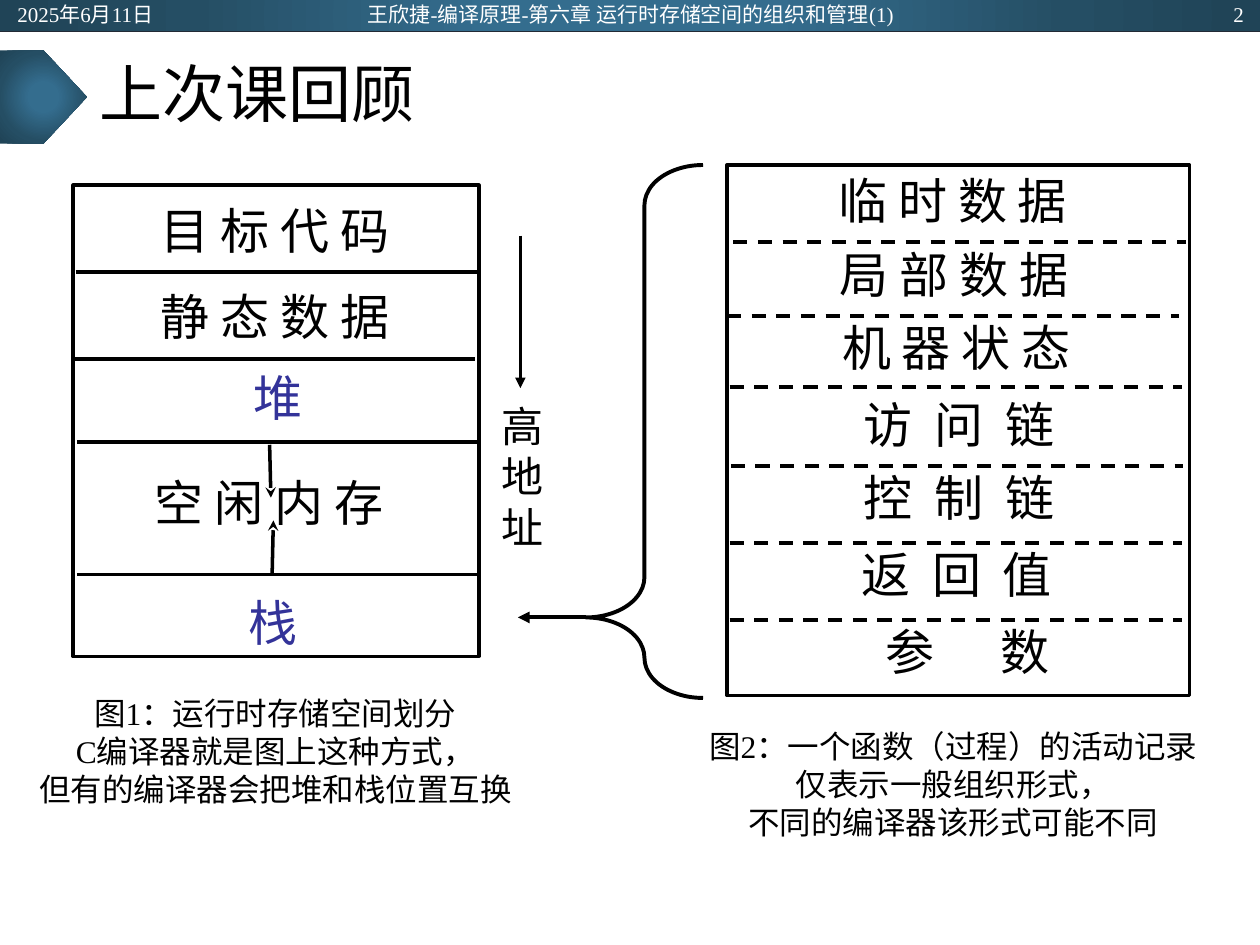
"""Build the review slide on run-time storage layout and activation records."""
from lxml import etree
from pptx import Presentation
from pptx.dml.color import RGBColor
from pptx.enum.dml import MSO_LINE
from pptx.enum.shapes import MSO_CONNECTOR, MSO_SHAPE
from pptx.enum.text import MSO_ANCHOR, PP_ALIGN
from pptx.oxml import parse_xml
from pptx.oxml.ns import nsdecls, qn
from pptx.util import Inches, Pt

LEFT, MID, RIGHT = PP_ALIGN.LEFT, PP_ALIGN.CENTER, PP_ALIGN.RIGHT
TOP, CENTER = MSO_ANCHOR.TOP, MSO_ANCHOR.MIDDLE
RECT, PLATE, BRACE = MSO_SHAPE.RECTANGLE, MSO_SHAPE.PENTAGON, MSO_SHAPE.LEFT_BRACE
STRAIGHT, DASH = MSO_CONNECTOR.STRAIGHT, MSO_LINE.DASH
SERIF, SANS = "Times New Roman", "Noto Sans CJK SC"
BLACK, WHITE, BLUE = "000000", "FFFFFF", "333399"
STOPS = [(0, "346D8E"), (23, "346D8E"), (69, "254E64"), (97, "204457")]

color = RGBColor.from_string

prs = Presentation()
prs.slide_width, prs.slide_height = Inches(10), Inches(7.5)
slide = prs.slides.add_slide(prs.slide_layouts[6])
shapes = slide.shapes


def write(text, x, y, w, h, size=28, font=SERIF, ink=BLACK, align=MID,
          anchor=TOP, pad=(0.05, 0.05), lead=None, gap=0):
    box = shapes.add_textbox(Inches(x), Inches(y), Inches(w), Inches(h))
    frame = box.text_frame
    frame.word_wrap = True
    frame.vertical_anchor = anchor
    frame.margin_top, frame.margin_bottom = Inches(pad[0]), Inches(pad[1])
    frame.text = text
    for para in frame.paragraphs:
        para.alignment = align
        para.line_spacing = lead
        for run in para.runs:
            run.font.size = Pt(size)
            run.font.color.rgb = color(ink)
            run.font.name = font
            props = run.font._element
            etree.SubElement(props, qn("a:ea")).set("typeface", SANS)
            if gap:
                props.set("spc", str(round(gap * 100)))


def rule(x1, y1, x2, y2, width=2, ink=BLACK, dash=None, tip=None):
    line = shapes.add_connector(STRAIGHT, Inches(x1), Inches(y1), Inches(x2), Inches(y2))
    line.line.width = Pt(width)
    line.line.color.rgb = color(ink)
    if dash:
        line.line.dash_style = dash
    if tip:
        etree.SubElement(line.line._get_or_add_ln(), qn("a:tailEnd")).set("type", tip)
    etree.SubElement(line._element.spPr, qn("a:effectLst"))


stops = "".join(f'<a:gs pos="{pos * 1000}"><a:srgbClr val="{tone}"/></a:gs>'
                for pos, tone in STOPS)
for kind, x, y, w, h in [(RECT, 0, 0, 10, 0.25), (PLATE, 0, 0.4, 0.69, 0.74)]:
    band = shapes.add_shape(kind, Inches(x), Inches(y), Inches(w), Inches(h))
    band.shadow.inherit = False
    band.line.fill.background()
    band.fill.background()
    props = band._element.spPr
    props.replace(props.find(qn("a:noFill")), parse_xml(
        f'<a:gradFill {nsdecls("a")}><a:gsLst>{stops}</a:gsLst><a:path path="circle">'
        '<a:fillToRect l="50000" t="50000" r="50000" b="50000"/></a:path></a:gradFill>'))
rule(0, 0.25, 10, 0.25, width=0.5, ink="222A35")

for text, x, y, w, h, align in [
        ("2025年6月11日", 0.04, 0.01, 2.25, 0.2, LEFT),
        ("王欣捷-编译原理-第六章 运行时存储空间的组织和管理(1)", 2.51, -0.03, 4.99, 0.28, MID),
        ("2", 7.72, 0.01, 2.25, 0.2, RIGHT)]:
    write(text, x, y, w, h, size=12, ink=WHITE, align=align, anchor=CENTER)
write("上次课回顾", 0.69, 0.25, 8.62, 1.04, size=36, align=LEFT, anchor=CENTER, lead=0.9)

for kind, x, y, w, h, width in [(RECT, 0.58, 1.47, 3.22, 3.74, 2),
                                (RECT, 5.77, 1.31, 3.67, 4.21, 2),
                                (BRACE, 4.65, 1.31, 0.93, 4.23, 2.25)]:
    frame = shapes.add_shape(kind, Inches(x), Inches(y), Inches(w), Inches(h))
    frame.shadow.inherit = False
    frame.fill.background()
    frame.line.color.rgb = color(BLACK)
    frame.line.width = Pt(width)
frame.adjustments[0], frame.adjustments[1] = 0.487, 0.849

for text, x, y, font, ink in [("目 标 代 码", 0.65, 1.5, SANS, BLACK),
                              ("静 态 数 据", 0.65, 2.18, SANS, BLACK),
                              ("堆", 0.67, 2.83, SERIF, BLUE),
                              ("空 闲 内 存", 0.6, 3.66, SANS, BLACK),
                              ("栈", 0.63, 4.61, SERIF, BLUE)]:
    write(text, x, y, 3.07, 0.59, font=font, ink=ink, pad=(0.09, 0.05))
for x, y in [(0.6, 2.16), (0.57, 2.85), (0.61, 3.51), (0.61, 4.56)]:
    rule(x, y, x + 3.2, y)

for text, x, y, gap in [("临 时 数 据", 5.84, 1.2, 0), ("局 部 数 据", 5.85, 1.79, 0),
                        ("机 器 状 态", 5.87, 2.37, 0), ("访 问 链", 5.87, 2.98, 3.15),
                        ("控 制 链", 5.87, 3.56, 3.15), ("返 回 值", 5.85, 4.17, 3.15),
                        ("参 数", 5.85, 4.78, 15.75)]:
    write(text, x + gap / 144, y, 3.44, 0.73, font=SANS, anchor=CENTER,
          pad=(0.09, 0.05), gap=gap)
for x, y in [(5.82, 1.92), (5.77, 2.51), (5.79, 3.07), (5.8, 3.7),
             (5.79, 4.31), (5.79, 4.92)]:
    rule(x, y, x + 3.59, y, dash=DASH)

rule(2.14, 3.53, 2.15, 3.95, tip="stealth")
rule(2.16, 4.55, 2.17, 4.13, tip="stealth")
rule(4.13, 1.87, 4.13, 3.08, tip="triangle")
rule(4.65, 4.9, 4.11, 4.9, width=2.25, tip="triangle")

write("高\n地\n址", 3.88, 3.13, 0.54, 1.31, size=24, align=LEFT)
write("图1：运行时存储空间划分\nC编译器就是图上这种方式，\n但有的编译器会把堆和栈位置互换",
      0.19, 5.46, 3.99, 1.01, size=18)
write("图2：一个函数（过程）的活动记录\n仅表示一般组织形式，\n不同的编译器该形式可能不同",
      5.51, 5.72, 4.11, 1.01, size=18)

prs.save("out.pptx")
